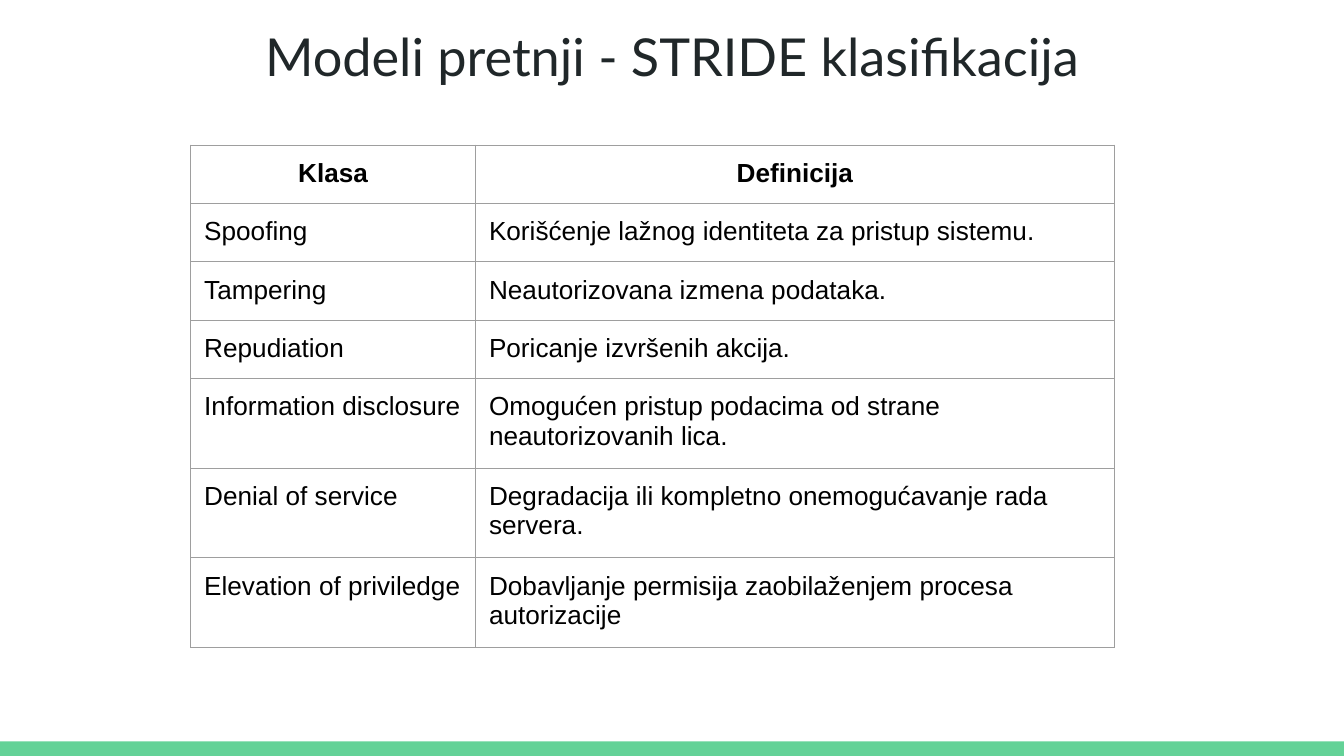
from lxml.etree import SubElement
from pptx import Presentation
from pptx.dml.color import RGBColor as RGB
from pptx.enum.shapes import MSO_SHAPE as SHAPE
from pptx.enum.text import MSO_ANCHOR as ANCHOR, PP_ALIGN as ALIGN
from pptx.oxml.ns import qn
from pptx.util import Pt

TITLE = "Modeli pretnji - STRIDE klasifikacija"
ROWS = [
    ("Klasa", "Definicija"),
    ("Spoofing", "Korišćenje lažnog identiteta za pristup sistemu."),
    ("Tampering", "Neautorizovana izmena podataka."),
    ("Repudiation", "Poricanje izvršenih akcija."),
    ("Information disclosure", "Omogućen pristup podacima od strane neautorizovanih lica."),
    ("Denial of service", "Degradacija ili kompletno onemogućavanje rada servera."),
    ("Elevation of priviledge", "Dobavljanje permisija zaobilaženjem procesa autorizacije"),
]
COLORS = {"title": "202729", "text": "000000", "border": "9E9E9E", "bar": "63D297"}
SLIDE_W, SLIDE_H = 720, 405
BAR_H = 7.8
COL_WIDTHS = (152.6, 342.2)
ROW_H = 30
INSET = Pt(7.2)


def color(name):
    return RGB.from_string(COLORS[name])


def style(p, font, size, name, bold=False, align=ALIGN.LEFT):
    p.alignment = align
    p.font.name = font
    p.font.size = Pt(size)
    p.font.bold = bold
    p.font.color.rgb = color(name)


def set_insets(box):
    box.margin_left = box.margin_right = box.margin_top = box.margin_bottom = INSET


def add_borders(cell):
    pr = cell._tc.get_or_add_tcPr()
    for side in ("lnL", "lnR", "lnT", "lnB"):
        ln = SubElement(pr, qn(f"a:{side}"), w=str(Pt(0.75)))
        fill = SubElement(ln, qn("a:solidFill"))
        SubElement(fill, qn("a:srgbClr"), val=COLORS["border"])


prs = Presentation()
prs.slide_width, prs.slide_height = Pt(SLIDE_W), Pt(SLIDE_H)
s = prs.slides.add_slide(prs.slide_layouts[6])

bar = s.shapes.add_shape(SHAPE.RECTANGLE, 0, Pt(SLIDE_H - BAR_H), Pt(SLIDE_W), Pt(BAR_H))
bar.shadow.inherit = False
bar.fill.solid()
bar.fill.fore_color.rgb = color("bar")
bar.line.fill.background()

title = s.shapes.add_textbox(Pt(24.5), Pt(5.8), Pt(671), Pt(45.4))
tf = title.text_frame
tf.word_wrap = True
tf.vertical_anchor = ANCHOR.TOP
set_insets(tf)
tf.text = TITLE
style(tf.paragraphs[0], "Lato", 28, "title", align=ALIGN.CENTER)

table = s.shapes.add_table(
    len(ROWS), len(COL_WIDTHS), Pt(102.2), Pt(77.8), Pt(sum(COL_WIDTHS)), Pt(ROW_H * len(ROWS))
).table
table.horz_banding = False
for column, width in zip(table.columns, COL_WIDTHS):
    column.width = Pt(width)
for i, values in enumerate(ROWS):
    table.rows[i].height = Pt(ROW_H)
    header = i == 0
    for j, value in enumerate(values):
        cell = table.cell(i, j)
        set_insets(cell)
        add_borders(cell)
        cell.fill.background()
        cell.text = value
        style(cell.text_frame.paragraphs[0], "Arial", 14, "text", header,
              ALIGN.CENTER if header else ALIGN.LEFT)

prs.save("out.pptx")
